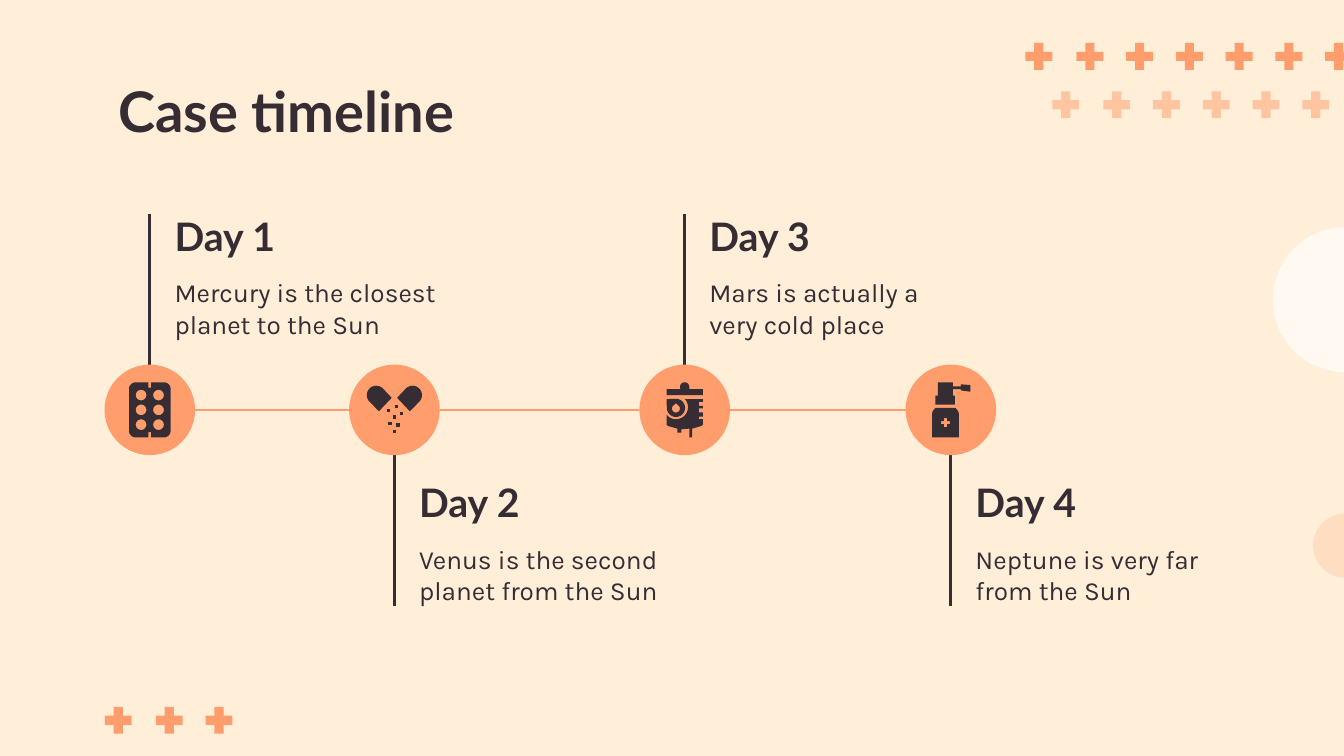
from math import cos, radians, sin

from lxml import etree
from pptx import Presentation
from pptx.dml.color import RGBColor
from pptx.enum.shapes import MSO_CONNECTOR, MSO_SHAPE
from pptx.enum.text import MSO_ANCHOR, MSO_AUTO_SIZE, PP_ALIGN
from pptx.oxml.ns import qn
from pptx.util import Inches, Pt

STRAIGHT = MSO_CONNECTOR.STRAIGHT
CROSS, OVAL = MSO_SHAPE.CROSS, MSO_SHAPE.OVAL
TOP, MIDDLE = MSO_ANCHOR.TOP, MSO_ANCHOR.MIDDLE
LEFT = PP_ALIGN.LEFT
NO_FIT = MSO_AUTO_SIZE.NONE

COLUMNS, ROWS = 100, 56.25
CELL = Inches(10) / COLUMNS
CREAM, ORANGE, DARK, WHITE = "FFEFD9", "FF9D6C", "362C34", "FFFFFF"
AXIS = 30.5
RADIUS = 3.37
STEM = 11.2
STEPS = [
    (11.15, 21.5, "Day 1", "Mercury is the closest planet to the Sun"),
    (29.35, 20.6, "Day 2", "Venus is the second planet from the Sun"),
    (50.95, 20.6, "Day 3", "Mars is actually a very cold place"),
    (70.75, 20.6, "Day 4", "Neptune is very far from the Sun"),
]


def cells(*counts):
    return [round(count * CELL) for count in counts]


def paint(fill, color, opacity=100):
    fill.solid()
    fill.fore_color.rgb = RGBColor.from_string(color)
    if opacity < 100:
        tint = fill._xPr.find(".//" + qn("a:srgbClr"))
        etree.SubElement(tint, qn("a:alpha")).set("val", str(opacity * 1000))


def finish(shape, color, opacity=100):
    paint(shape.fill, color, opacity)
    shape.line.fill.background()
    shape.shadow.inherit = False


def add_preset(slide, kind, left, top, size, color, opacity=100):
    shape = slide.shapes.add_shape(kind, *cells(left, top, size, size))
    finish(shape, color, opacity)
    return shape


def add_crosses(slide, left, top, count, opacity=100):
    for i in range(count):
        indent = 0.1 if i else 0
        cross = add_preset(slide, CROSS, left + 3.7 * i + indent, top, 2, ORANGE, opacity)
        cross.adjustments[0] = 0.33


def add_line(slide, start, end, color):
    line = slide.shapes.add_connector(STRAIGHT, *cells(*start, *end))
    line.line.color.rgb = RGBColor.from_string(color)
    line.line.width = Pt(1.5)
    etree.SubElement(line._element.spPr, qn("a:effectLst"))


def write(frame, text, size, font, bold, anchor):
    frame.text = text
    frame.word_wrap = True
    frame.auto_size = NO_FIT
    frame.vertical_anchor = anchor
    frame.margin_left = frame.margin_right = Inches(0.1)
    frame.margin_top = frame.margin_bottom = Inches(0.1)
    paragraph = frame.paragraphs[0]
    paragraph.alignment = LEFT
    style = paragraph.runs[0].font
    style.name, style.size, style.bold = font, Pt(size), bold
    style.color.rgb = RGBColor.from_string(DARK)


def add_text(slide, left, top, width, height, *style):
    box = slide.shapes.add_textbox(*cells(left, top, width, height))
    write(box.text_frame, *style)


def add_title(slide, text):
    title = slide.shapes.title
    title.left, title.top, title.width, title.height = cells(7.8, 4.7, 84.4, 5.1)
    write(title.text_frame, text, 30, "Lato", True, TOP)


def arc(x, y, radius, start, end, steps=16):
    angles = [radians(start + (end - start) * i / steps) for i in range(steps + 1)]
    return [(x + radius * cos(a), y + radius * sin(a)) for a in angles]


def square(x, y, size):
    return [(x, y), (x + size, y), (x + size, y + size), (x, y + size)]


def mirrored(points):
    return [(-x, y) for x, y in points]


def add_outline(slide, center, *contours):
    placed = [[cells(center + x, AXIS + y) for x, y in points] for points in contours]
    builder = slide.shapes.build_freeform(*placed[0][0])
    builder.add_line_segments(placed[0][1:], close=True)
    for points in placed[1:]:
        builder.move_to(*points[0])
        builder.add_line_segments(points[1:], close=True)
    finish(builder.convert_to_shape(), DARK)


def add_blister(slide, center):
    right = [(0.1, -2.05), *arc(1.05, -1.55, 0.5, -90, 0),
             *arc(1.05, 1.55, 0.5, 0, 90), (0.1, 2.05), (0.1, 1.65)]
    pack = [(0.1, -1.65), *right, *mirrored(right[::-1]), (-0.1, -1.65)]
    pills = [arc(x, y, 0.4, 0, 360) for x in (-0.65, 0.65) for y in (-1.1, 0, 1.1)]
    add_outline(slide, center, pack, *pills)


def add_capsule(slide, center):
    half = [*arc(-1.35, -1.1, 0.7, 135, 315), (-0.2, -0.9), (-1.15, 0.1)]
    crumbs = [(-0.55, -0.05), (0.05, -0.35), (0.15, 1), (-0.1, 1.5),
              (-0.1, 0.4), (0.4, 0.15), (-0.45, 0.9)]
    add_outline(slide, center, half)
    add_outline(slide, center, mirrored(half))
    for x, y in crumbs:
        add_outline(slide, center, square(x, y, 0.25))


def add_drip(slide, center):
    cap = [(-1.35, -1.55), *arc(0, -1.7, 0.35, 155, 385),
           (1.35, -1.55), (1.35, -1.1), (-1.35, -1.1)]
    scale = [(x, y) for low, high in ((0.7, 0.5), (0.2, -0.1), (-0.3, -0.6))
             for x, y in ((1.35, low), (1.05, low), (1.05, high), (1.35, high))]
    bag = [*arc(-0.65, -0.2, 0.9, -42, 140), (-1.35, 1.1), (-1.25, 1.2),
           (-0.55, 1.4), (-0.55, 1.7), (-0.25, 1.7), (-0.25, 1.45), (0.35, 1.4),
           (0.35, 2.05), (0.55, 2.05), (0.55, 1.4), (1.25, 1.2), (1.35, 1.1),
           *scale, (1.35, -0.8)]
    dial = [(-1.35, -0.8), *arc(-0.65, -0.15, 0.68, 180, -90)]
    drop = [(-0.65, -0.5), *arc(-0.65, -0.1, 0.3, -30, 210)]
    add_outline(slide, center, cap)
    add_outline(slide, center, bag)
    add_outline(slide, center, dial, drop)


def add_spray(slide, center):
    nozzle = [(-0.95, -2.05), (-0.95, -1.05), (-1.15, -1.05), (-1.15, -0.4),
              (0.3, -0.4), (0.3, -1.05), (0.15, -1.05), (0.15, -1.55),
              (0.75, -1.55), (0.75, -1.45), (1.45, -1.35), (1.45, -1.85),
              (0.75, -1.9), (0.75, -1.75), (0.15, -1.75), (0.15, -2.05)]
    bottle = [(-1.15, -0.15), (0.35, -0.15), (0.55, 0.1), (0.6, 0.3),
              (0.6, 2.05), (-1.4, 2.05), (-1.4, 0.3), (-1.35, 0.1)]
    arm = [(-0.12, -0.33), (0.12, -0.33), (0.12, -0.12), (0.33, -0.12)]
    half = arm + [(x, -y) for x, y in arm[:1:-1]]
    plus = half + [(-x, -y) for x, y in half]
    add_outline(slide, center, nozzle)
    add_outline(slide, center, bottle, [(x - 0.4, y + 0.95) for x, y in plus])


def add_step(slide, center, width, day, fact, below):
    side = 1 if below else -1
    edge = AXIS + side * RADIUS
    label = 35.3 if below else 15.5
    add_line(slide, (center, edge), (center, edge + side * STEM), DARK)
    add_preset(slide, OVAL, center - RADIUS, AXIS - RADIUS, 2 * RADIUS, ORANGE)
    add_text(slide, center + 0.85, label, width, 4.1, day, 21, "Lato", True, MIDDLE)
    add_text(slide, center + 0.85, label + 4.1, width, 6.7, fact, 14, "Karla", False, TOP)


def main():
    deck = Presentation()
    deck.slide_width, deck.slide_height = cells(COLUMNS, ROWS)
    slide = deck.slides.add_slide(deck.slide_layouts[5])
    paint(slide.background.fill, CREAM)

    add_crosses(slide, 78.3, 6.8, 6, 51)
    add_crosses(slide, 76.3, 3.2, 7)
    add_crosses(slide, 7.8, 52.6, 3)
    add_preset(slide, OVAL, 97.7, 38.2, 4.8, ORANGE, 21)
    add_preset(slide, OVAL, 94.7, 16.9, 10.8, WHITE, 66)
    add_title(slide, "Case timeline")

    icons = [add_blister, add_capsule, add_drip, add_spray]
    for i, (step, add_icon) in enumerate(zip(STEPS, icons)):
        add_step(slide, *step, below=i % 2 == 1)
        add_icon(slide, step[0])
    for before, after in zip(STEPS, STEPS[1:]):
        add_line(slide, (before[0] + RADIUS, AXIS), (after[0] - RADIUS, AXIS), ORANGE)

    deck.save("out.pptx")


if __name__ == "__main__":
    main()
